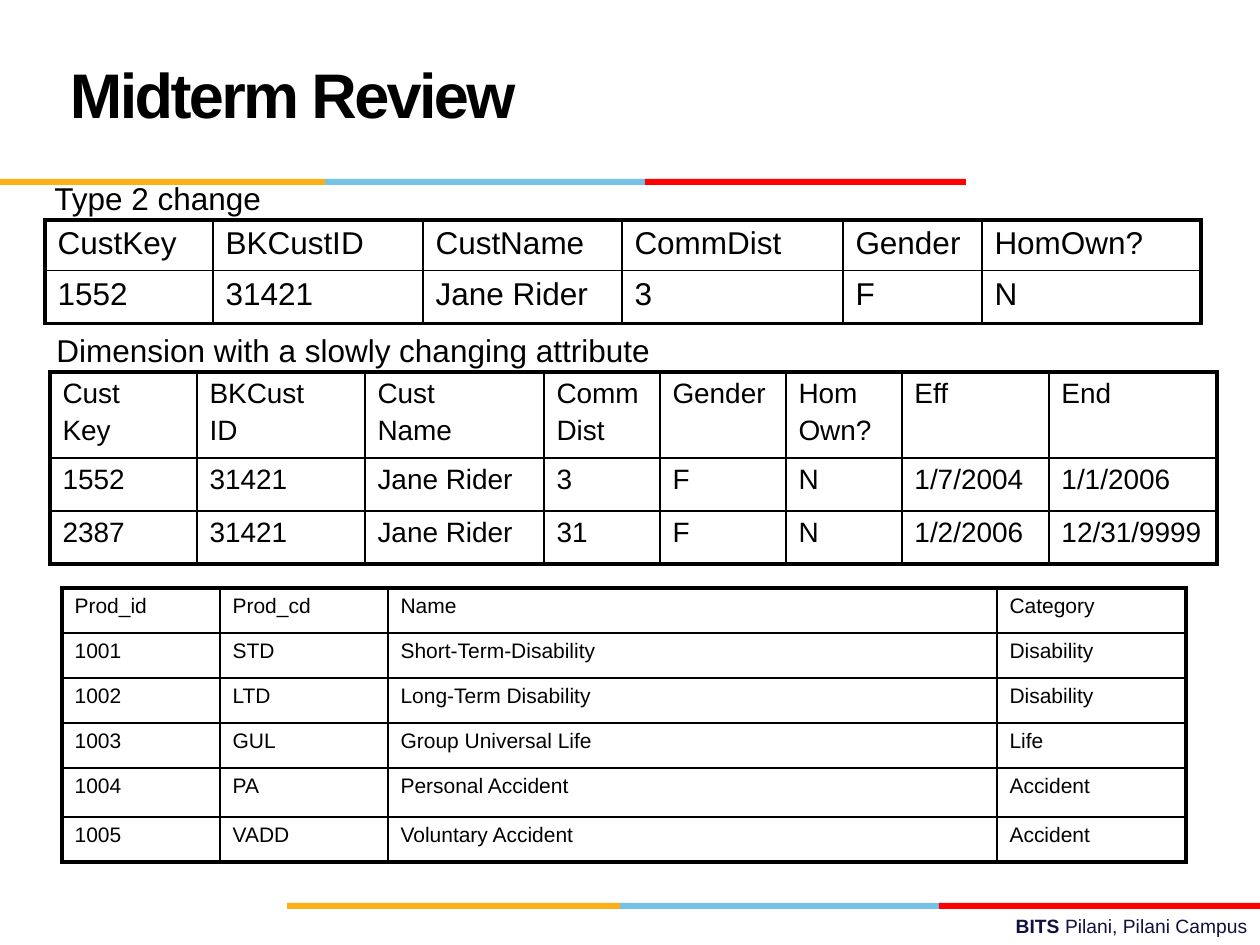
from lxml.etree import SubElement
from pptx import Presentation
from pptx.dml.color import RGBColor
from pptx.enum.shapes import MSO_SHAPE
from pptx.enum.text import MSO_ANCHOR, MSO_AUTO_SIZE, PP_ALIGN
from pptx.oxml.ns import qn
from pptx.util import Emu, Pt

COLORS = {"text": "000000", "footer": "101141", "yellow": "FCB017",
          "blue": "76C2E5", "red": "FF0000"}
OUTER, INNER = Pt(2.25), Pt(1)

CUSTOMER = [
    ["CustKey", "BKCustID", "CustName", "CommDist", "Gender", "HomOwn?"],
    ["1552", "31421", "Jane Rider", "3", "F", "N"],
]
HISTORY = [
    ["Cust\nKey", "BKCust\nID", "Cust\nName", "Comm\nDist", "Gender",
     "Hom\nOwn?", "Eff", "End"],
    ["1552", "31421", "Jane Rider", "3", "F", "N", "1/7/2004", "1/1/2006"],
    ["2387", "31421", "Jane Rider", "31", "F", "N", "1/2/2006", "12/31/9999"],
]
PRODUCTS = [
    ["Prod_id", "Prod_cd", "Name", "Category"],
    ["1001", "STD", "Short-Term-Disability", "Disability"],
    ["1002", "LTD", "Long-Term Disability", "Disability"],
    ["1003", "GUL", "Group Universal Life", "Life"],
    ["1004", "PA", "Personal Accident", "Accident"],
    ["1005", "VADD", "Voluntary Accident", "Accident"],
]


def px(n):
    return Emu(round(n * 914400 / 126))


def rgb(name):
    return RGBColor.from_string(COLORS[name])


def set_font(font, size, color="text", bold=False):
    for key, value in {"name": "Arial", "size": Pt(size), "bold": bold}.items():
        setattr(font, key, value)
    font.color.rgb = rgb(color)


def add_title(s, x, y, w, h, text):
    sp = s.shapes.title
    sp.left, sp.top, sp.width, sp.height = map(px, (x, y, w, h))
    tf = sp.text_frame
    tf.text = text
    fmt = {"auto_size": MSO_AUTO_SIZE.NONE, "vertical_anchor": MSO_ANCHOR.MIDDLE,
           "margin_left": px(28), "word_wrap": True}
    for key, value in fmt.items():
        setattr(tf, key, value)
    p = tf.paragraphs[0]
    p.alignment, p.line_spacing = PP_ALIGN.LEFT, Pt(36)
    r = p.runs[0]
    set_font(r.font, 36, bold=True)
    r.font._element.set("spc", "-150")


def add_stripe(s, x, y, widths, h):
    """Yellow, blue and red bars laid end to end."""
    for color, w in zip(("yellow", "blue", "red"), widths):
        sp = s.shapes.add_shape(MSO_SHAPE.RECTANGLE, px(x), px(y), px(w), px(h))
        sp.shadow.inherit = False
        sp.fill.solid()
        sp.fill.fore_color.rgb = rgb(color)
        sp.line.fill.background()
        x += w


def add_text(s, x, y, w, h, runs, size, color="text", align=PP_ALIGN.LEFT,
             wrap=False):
    tf = s.shapes.add_textbox(px(x), px(y), px(w), px(h)).text_frame
    tf.word_wrap = wrap
    p = tf.paragraphs[0]
    p.alignment = align
    for text, bold in runs:
        r = p.add_run()
        r.text = text
        set_font(r.font, size, color, bold)


def set_borders(cell, widths):
    tc_pr = cell._tc.get_or_add_tcPr()
    for side, width in zip("LRTB", widths):
        ln = SubElement(tc_pr, qn(f"a:ln{side}"), w=str(width))
        fill = SubElement(ln, qn("a:solidFill"))
        SubElement(fill, qn("a:srgbClr"), val=COLORS["text"])


def add_grid(s, x, y, cols, rows, data, size):
    """Unfilled table with a heavy frame and thin inner lines."""
    table = s.shapes.add_table(len(rows), len(cols), px(x), px(y),
                               px(sum(cols)), px(sum(rows))).table
    table.first_row = table.horz_banding = False
    for col, w in zip(table.columns, cols):
        col.width = px(w)
    for row, h in zip(table.rows, rows):
        row.height = px(h)
    last_row, last_col = len(rows) - 1, len(cols) - 1
    for i, line in enumerate(data):
        for j, text in enumerate(line):
            cell = table.cell(i, j)
            edges = (j == 0, j == last_col, i == 0, i == last_row)
            set_borders(cell, [OUTER if edge else INNER for edge in edges])
            cell.fill.background()
            cell.text_frame.text = text
            for k, p in enumerate(cell.text_frame.paragraphs):
                set_font(p.runs[0].font, size)
                if k:
                    p.space_before = Pt(size * 0.2)


def main():
    prs = Presentation()
    prs.slide_width, prs.slide_height = px(1260), px(945)
    s = prs.slides.add_slide(prs.slide_layouts[5])

    # Footer and header stripes
    add_text(s, 451, 908, 809, 37,
             [("BITS ", True), ("Pilani, Pilani Campus", False)],
             11, "footer", PP_ALIGN.RIGHT, True)
    add_stripe(s, 287, 903, (333, 319, 321), 6)
    add_stripe(s, 0, 179, (325, 320, 321), 6)
    add_title(s, 42, 21, 872, 158, "Midterm Review")

    # Tables and their labels
    add_grid(s, 45, 220, (168, 210, 199, 221, 139, 219), (48, 53), CUSTOMER, 18)
    add_grid(s, 50, 372, (147, 168, 179, 116, 126, 116, 147, 168),
             (86, 53, 53), HISTORY, 16)
    add_text(s, 44, 325, 619, 50,
             [("Dimension with a slowly changing attribute", False)], 18)
    add_text(s, 42, 173, 234, 50, [("Type 2 change", False)], 18)
    add_grid(s, 62, 588, (158, 168, 609, 189), (45, 45, 45, 45, 49, 45),
             PRODUCTS, 12)

    prs.save("out.pptx")


if __name__ == "__main__":
    main()
